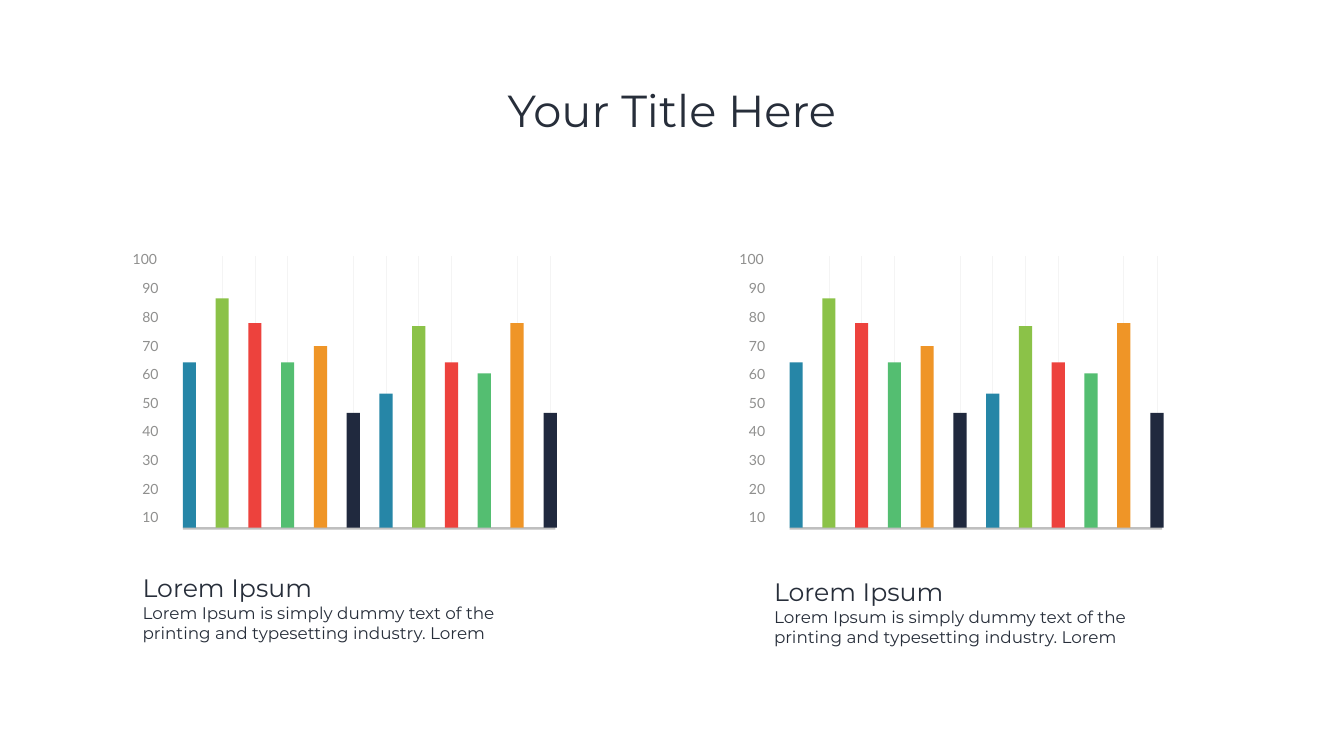
import pptx
import pptx.util
import pptx.dml.color
import pptx.enum.shapes
import pptx.enum.text
import pptx.oxml

RGB = pptx.dml.color.RGBColor
INK = RGB(0x27, 0x2E, 0x3A)
GREY = RGB(0x8F, 0x8F, 0x8E)
BASE = RGB(0xBF, 0xBF, 0xBF)
GRID = RGB(0xF4, 0xF4, 0xF4)
BLUE = RGB(0x26, 0x86, 0xA7)
LIME = RGB(0x8B, 0xC2, 0x48)
RED = RGB(0xED, 0x42, 0x3D)
GREEN = RGB(0x54, 0xBE, 0x71)
GOLD = RGB(0xEF, 0x95, 0x27)
NAVY = RGB(0x20, 0x29, 0x3E)
HUES = [BLUE, LIME, RED, GREEN, GOLD, NAVY]

PX = 9144  # 100 px to the inch
BARS = [328, 455, 406, 328, 360, 228, 266, 400, 328, 306, 406, 228]
LINES = [1, 2, 3, 5, 6, 7, 8, 10, 11]  # bars with a grid line behind
SPAN = 716  # from the first bar to the last
WIDE = 26
FOOT = 1047
CENTER = pptx.enum.text.PP_ALIGN.CENTER

deck = pptx.Presentation()
deck.slide_width = 2667 * PX
deck.slide_height = 1500 * PX
slide = deck.slides.add_slide(deck.slide_layouts[5])
shapes = slide.shapes


def block(x, y, w, h, hue):
    """Add a plain filled rectangle."""
    box = shapes.add_shape(pptx.enum.shapes.MSO_SHAPE.RECTANGLE,
                           x * PX, y * PX, w * PX, h * PX)
    box.shadow.inherit = False
    box.fill.solid()
    box.fill.fore_color.rgb = hue
    box.line.fill.background()


def style(run, face, size, hue):
    run.font.name = face
    run.font.size = pptx.util.Pt(size)
    run.font.color.rgb = hue


title = shapes.title
title.left, title.top = 183 * PX, 80 * PX
title.width, title.height = 2300 * PX, 290 * PX
title.text_frame.text = "Your Title Here"
title.text_frame.vertical_anchor = pptx.enum.text.MSO_ANCHOR.MIDDLE
para = title.text_frame.paragraphs[0]
para.alignment = CENTER
para.line_spacing = 0.9
style(para.runs[0], "Montserrat", 64, INK)

# Left edge of each chart, then the place of its caption
for left, note_x, note_y in [(363, 263, 1126), (1567, 1516, 1134)]:
    for i in range(10):
        x, w = (left - 100, 49) if i == 9 else (left - 81, 33)
        label = shapes.add_textbox(x * PX, (1009 - i * 511 // 9) * PX,
                                   w * PX, 34 * PX)
        frame = label.text_frame
        frame.margin_left = frame.margin_right = 0
        frame.margin_top = frame.margin_bottom = 0
        frame.word_wrap = False
        frame.text = str(10 * (i + 1))
        frame.paragraphs[0].alignment = CENTER
        style(frame.paragraphs[0].runs[0], "Lato", 20, GREY)

    block(left, 1046, 739, 5, BASE)

    for i in LINES:
        x = left + i * SPAN // 11 + WIDE // 2
        line = shapes.add_connector(pptx.enum.shapes.MSO_CONNECTOR.STRAIGHT,
                                    x * PX, 508 * PX, x * PX, 1044 * PX)
        line.line.color.rgb = GRID
        line.line.width = pptx.util.Pt(1)
        line._element.spPr.append(pptx.oxml.parse_xml(
            '<a:effectLst xmlns:a='
            '"http://schemas.openxmlformats.org/drawingml/2006/main"/>'))

    for i, tall in enumerate(BARS):
        block(left + i * SPAN // 11, FOOT - tall, WIDE, tall,
              HUES[i % len(HUES)])

    note = shapes.add_textbox(note_x * PX, note_y * PX, 850 * PX, 233 * PX)
    frame = note.text_frame
    frame.word_wrap = True
    frame.margin_left = frame.margin_right = 20 * PX
    frame.margin_top = frame.margin_bottom = 10 * PX
    frame.text = ("Lorem Ipsum\vLorem Ipsum is simply dummy text of the "
                  "printing and typesetting industry. Lorem")
    head, body = frame.paragraphs[0].runs
    style(head, "Montserrat", 36, INK)
    style(body, "Montserrat", 24, INK)

deck.save("out.pptx")
